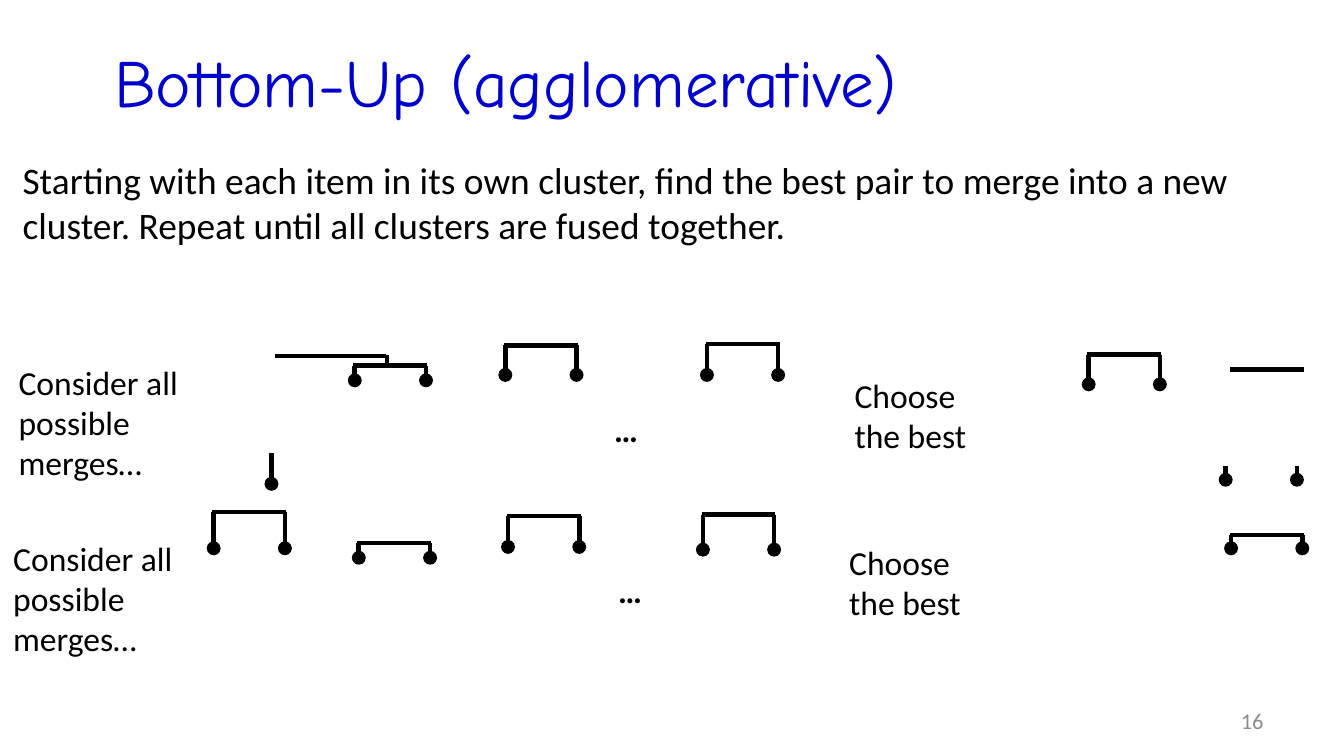
from lxml import etree
from pptx import Presentation
from pptx.dml.color import RGBColor
from pptx.enum.shapes import MSO_CONNECTOR as CONN
from pptx.enum.text import MSO_ANCHOR as ANCHOR, PP_ALIGN as ALIGN
from pptx.oxml.ns import qn
from pptx.util import Inches, Pt

BLACK = RGBColor(0x00, 0x00, 0x00)
BLUE = RGBColor(0x00, 0x00, 0xCC)
GRAY = RGBColor(0x8C, 0x8C, 0x8C)
LEAF_GAP = 0.53


def write_text(tf, text, size=18, font="Calibri", color=BLACK, bold=False,
               align=ALIGN.LEFT, anchor=ANCHOR.TOP, wrap=True):
    tf.word_wrap = wrap
    tf.vertical_anchor = anchor
    p = tf.paragraphs[0]
    p.alignment = align
    r = p.add_run()
    r.text = text
    r.font.size = Pt(size)
    r.font.name = font
    r.font.bold = bold
    r.font.color.rgb = color


class MergeSlide:
    line_width = Pt(2.5)

    def __init__(self, prs):
        self.s = prs.slides.add_slide(prs.slide_layouts[5])

    def title(self, text, x, y, w, h, **fmt):
        sp = self.s.shapes.title
        sp.left, sp.top, sp.width, sp.height = map(Inches, (x, y, w, h))
        write_text(sp.text_frame, text, **fmt)

    def text(self, text, x, y, w, h, **fmt):
        sp = self.s.shapes.add_textbox(*map(Inches, (x, y, w, h)))
        write_text(sp.text_frame, text, **fmt)

    def line(self, x1, y1, x2, y2, dot=False):
        cx = self.s.shapes.add_connector(
            CONN.STRAIGHT, *map(Inches, (x1, y1, x2, y2)))
        cx.line.color.rgb = BLACK
        cx.line.width = self.line_width
        if dot:
            etree.SubElement(cx.line._get_or_add_ln(), qn("a:headEnd"), type="oval")
        etree.SubElement(cx._element.spPr, qn("a:effectLst"))

    def leaf(self, x, bottom, top):
        self.line(x, bottom, x, top, dot=True)

    def leaf_pair(self, x, bottom, top):
        for leaf_x in (x, x + LEAF_GAP):
            self.leaf(leaf_x, bottom, top)

    def merge(self, x, bottom, top):
        self.leaf_pair(x, bottom, top)
        self.line(x + LEAF_GAP + 0.01, top, x - 0.01, top)


def main():
    # Widescreen page, 16:9
    prs = Presentation()
    prs.slide_width = Inches(10)
    prs.slide_height = prs.slide_width * 9 // 16
    slide = MergeSlide(prs)

    # Title and introduction
    slide.title("Bottom-Up (agglomerative)", 0.75, 0.25, 9.75, 0.94,
                size=36, font="Comic Neue", color=BLUE)
    slide.text("Starting with each item in its own cluster, find the best pair to "
               "merge into a new cluster. Repeat until all clusters are fused "
               "together.", 0.07, 1.12, 9.6, 0.77, size=20)

    # Captions of the two rounds
    for consider, dots, choose in (
            ((0.04, 2.64), (4.47, 2.99), (6.26, 2.74)),
            ((0, 3.95), (4.5, 4.19), (6.22, 3.98))):
        slide.text("Consider all possible merges…", *consider, 1.63, 1.01)
        slide.text("…", *dots, 0.38, 0.4, bold=True, wrap=False)
        slide.text("Choose the best", *choose, 1.21, 0.71)

    # Merged pairs: left leaf, leaf level, bar level
    for x, bottom, top in (
            (2.64, 2.83, 2.72), (3.76, 2.79, 2.57), (5.26, 2.79, 2.56),
            (8.1, 2.86, 2.64),
            (1.59, 4.08, 3.81), (2.67, 4.15, 4.04), (3.78, 4.07, 3.84),
            (5.23, 4.09, 3.83), (9.16, 4.08, 3.98)):
        slide.merge(x, bottom, top)

    # Partial trees of the upper round
    slide.line(2.87, 2.65, 2.05, 2.65)
    slide.line(2.88, 2.72, 2.88, 2.64)
    slide.leaf(2.02, 3.6, 3.37)
    slide.line(9.7, 2.75, 9.15, 2.75)
    slide.leaf_pair(9.12, 3.57, 3.47)

    # Slide number
    slide.text("16", 7.17, 5.21, 2.33, 0.3, size=12, color=GRAY,
               align=ALIGN.RIGHT, anchor=ANCHOR.MIDDLE)

    prs.save("out.pptx")


if __name__ == "__main__":
    main()
